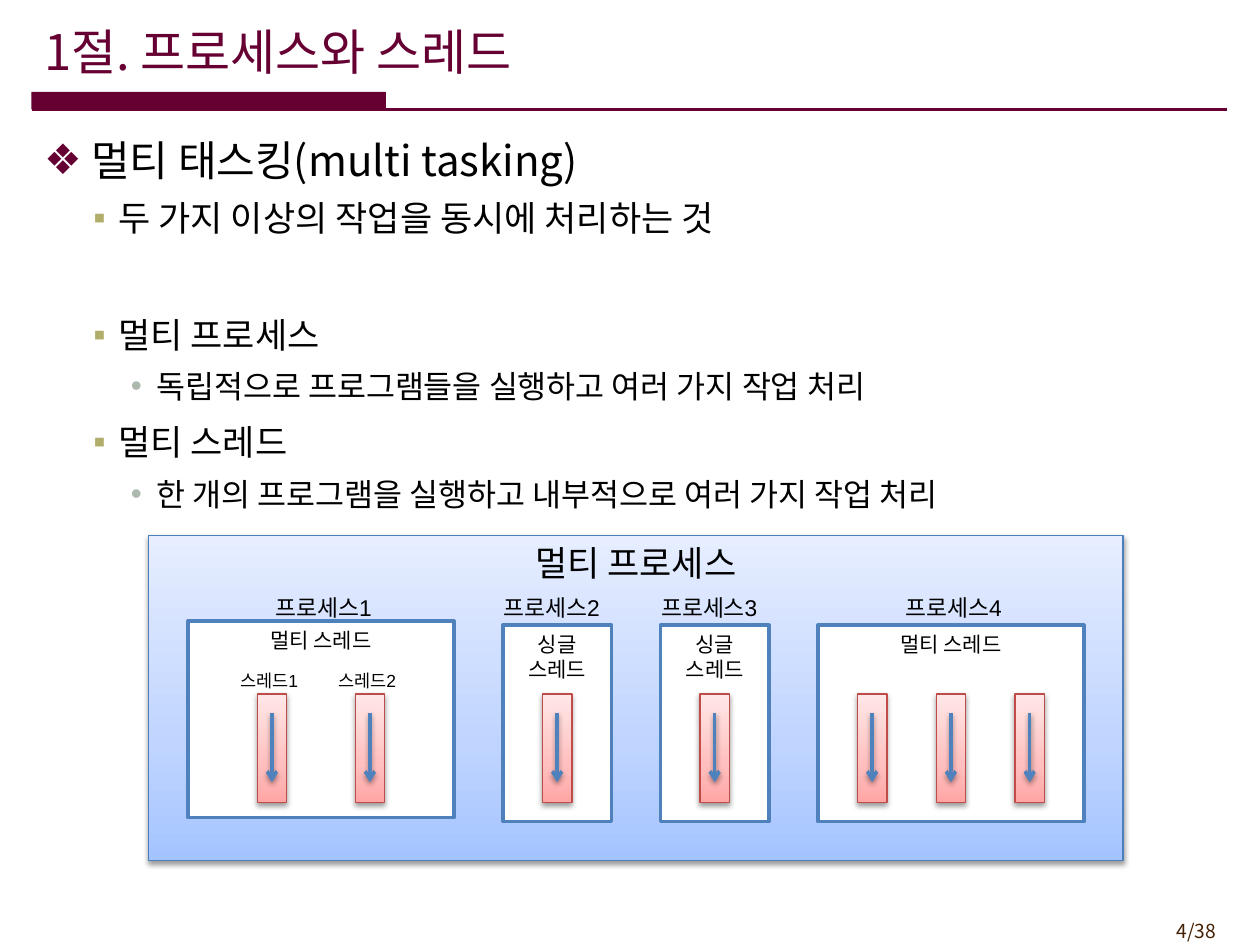
import pptx
import pptx.dml.color
import pptx.enum.shapes
import pptx.enum.text
import pptx.oxml.ns
import pptx.util
from lxml import etree

Pt = pptx.util.Pt
RGBColor = pptx.dml.color.RGBColor
PP_ALIGN = pptx.enum.text.PP_ALIGN
MSO_ANCHOR = pptx.enum.text.MSO_ANCHOR
MSO_AUTO_SIZE = pptx.enum.text.MSO_AUTO_SIZE
qn = pptx.oxml.ns.qn

KOREAN_FONT = "Noto Sans CJK KR"
LATIN_FONT = "Arial"

BLACK = RGBColor(0x00, 0x00, 0x00)
WHITE = RGBColor(0xFF, 0xFF, 0xFF)
WINE = RGBColor(0x66, 0x00, 0x33)
BROWN = RGBColor(0x45, 0x21, 0x03)
OLIVE = RGBColor(0xB1, 0xAE, 0x6B)
SAGE = RGBColor(0xAD, 0xB9, 0xAD)
BLUE = RGBColor(0x4F, 0x81, 0xBD)
PANEL_LINE = RGBColor(0x4B, 0x7E, 0xBC)
BAR_LINE = RGBColor(0xBF, 0x4C, 0x48)
PANEL_GRADIENT = (RGBColor(0xA4, 0xC4, 0xFF), RGBColor(0xBF, 0xD4, 0xFF), RGBColor(0xE6, 0xEE, 0xFF))
BAR_GRADIENT = (RGBColor(0xFF, 0xA6, 0xA5), RGBColor(0xFF, 0xC0, 0xBF), RGBColor(0xFF, 0xE7, 0xE7))

# Level: (left margin, indent, line spacing, space after, size, bullet, bullet colour)
LEVELS = (
    (27, -27, 1.0, 0, 24, "❖", WINE),
    (42.5, -14.4, 1.1, 3, 20, "▪", OLIVE),
    (64, -14.4, 1.0, 3, 18, "•", SAGE),
)
# Level, extra space above, text
OUTLINE = (
    (0, 0, "멀티 태스킹(multi tasking)"),
    (1, 0, "두 가지 이상의 작업을 동시에 처리하는 것"),
    (1, 33.4, "멀티 프로세스"),
    (2, 0, "독립적으로 프로그램들을 실행하고 여러 가지 작업 처리"),
    (1, 0, "멀티 스레드"),
    (2, 0, "한 개의 프로그램을 실행하고 내부적으로 여러 가지 작업 처리"),
)


def place(shape, box):
    shape.left, shape.top, shape.width, shape.height = (Pt(value) for value in box)


def write_text(paragraph, text, *, size, color=BLACK, font=KOREAN_FONT, align=PP_ALIGN.LEFT):
    paragraph.alignment = align
    run = paragraph.add_run()
    run.text = text
    run.font.size = Pt(size)
    run.font.color.rgb = color
    run.font.name = font
    etree.SubElement(run.font._element, qn("a:ea"), typeface=KOREAN_FONT)


def add_color(parent, color, alpha=None):
    element = etree.SubElement(parent, qn("a:srgbClr"), val=str(color))
    if alpha is not None:
        etree.SubElement(element, qn("a:alpha"), val=str(alpha * 1000))


def add_bullet(paragraph, character, color):
    properties = paragraph._p.get_or_add_pPr()
    add_color(etree.SubElement(properties, qn("a:buClr")), color)
    etree.SubElement(properties, qn("a:buFont"), typeface=LATIN_FONT)
    etree.SubElement(properties, qn("a:buChar"), char=character)


def add_drop_shadow(effects):
    shadow = etree.SubElement(
        effects, qn("a:outerShdw"), blurRad=str(Pt(3.1)), dist=str(Pt(1.6)),
        dir="5400000", rotWithShape="0")
    add_color(shadow, BLACK, alpha=38)


def fill_gradient(shape, colors):
    """Run three colours from the bottom edge to the top."""
    shape.fill.gradient()
    shape.fill.gradient_angle = 90
    stops = shape.element.spPr.find(".//" + qn("a:gsLst"))
    for stop in list(stops):
        stops.remove(stop)
    for position, color in zip((0, 35, 100), colors):
        add_color(etree.SubElement(stops, qn("a:gs"), pos=str(position * 1000)), color)


def add_rectangle(slide, box, *, fill=None, gradient=None, line=None, line_width=0.75):
    """Gradient rectangles are raised by a drop shadow; plain ones lie flat."""
    shape = slide.shapes.add_shape(
        pptx.enum.shapes.MSO_SHAPE.RECTANGLE, *(Pt(value) for value in box))
    shape.shadow.inherit = False
    if gradient:
        fill_gradient(shape, gradient)
        add_drop_shadow(shape.element.spPr.find(qn("a:effectLst")))
    else:
        shape.fill.solid()
        shape.fill.fore_color.rgb = fill
    if line is None:
        shape.line.fill.background()
    else:
        shape.line.color.rgb = line
        shape.line.width = Pt(line_width)
    shape.text_frame.vertical_anchor = MSO_ANCHOR.TOP
    return shape


def add_line(slide, start, end, color, width, arrow=False):
    connector = slide.shapes.add_connector(
        pptx.enum.shapes.MSO_CONNECTOR.STRAIGHT, *(Pt(value) for value in start + end))
    connector.line.color.rgb = color
    connector.line.width = Pt(width)
    effects = etree.SubElement(connector.element.spPr, qn("a:effectLst"))
    if arrow:
        etree.SubElement(connector.line._ln, qn("a:tailEnd"), type="arrow")
        add_drop_shadow(effects)


def add_label(slide, box, text, **text_format):
    label = slide.shapes.add_textbox(*(Pt(value) for value in box))
    label.text_frame.word_wrap = False
    label.text_frame.auto_size = MSO_AUTO_SIZE.SHAPE_TO_FIT_TEXT
    write_text(label.text_frame.paragraphs[0], text, **text_format)


def add_header(slide, box):
    left, top, width, height = box
    rule_top = top + height
    add_rectangle(slide, (left, rule_top - 10, 202.5, 10), fill=WINE)
    add_line(slide, (left, rule_top), (left + width, rule_top), WINE, 1.5)
    title = slide.shapes.title
    place(title, (left, top, 595.5, 45.4))
    title.text_frame.vertical_anchor = MSO_ANCHOR.MIDDLE
    title.text_frame.auto_size = MSO_AUTO_SIZE.NONE
    write_text(title.text_frame.paragraphs[0], "1절. 프로세스와 스레드", size=28, color=WINE)


def add_outline(slide, box):
    body = slide.placeholders[1]
    place(body, box)
    frame = body.text_frame
    frame.auto_size = MSO_AUTO_SIZE.NONE
    for index, (level, extra_space, text) in enumerate(OUTLINE):
        margin, indent, spacing, space_after, size, bullet, color = LEVELS[level]
        paragraph = frame.add_paragraph() if index else frame.paragraphs[0]
        paragraph.level = level
        paragraph.line_spacing = spacing
        paragraph.space_before = Pt(size * 0.2 + extra_space)
        paragraph.space_after = Pt(space_after)
        add_bullet(paragraph, bullet, color)
        properties = paragraph._p.get_or_add_pPr()
        properties.set("marL", str(Pt(margin)))
        properties.set("indent", str(Pt(indent)))
        write_text(paragraph, text, size=size)


def add_thread(slide, center, top, name=None):
    width, height = 16.8, 62
    add_rectangle(slide, (center - width / 2, top, width, height),
                  gradient=BAR_GRADIENT, line=BAR_LINE)
    add_line(slide, (center, top + 11), (center, top + 50.5), BLUE, 2, arrow=True)
    if name:
        add_label(slide, (center - 25.2, top - 17.3, 50.4, 19.4), name,
                  size=10, font=LATIN_FONT)


def add_process(slide, box, name, name_left, name_top, caption, thread_top, thread_names, pitch=0):
    left, _, width, _ = box
    frame = add_rectangle(slide, box, fill=WHITE, line=BLUE, line_width=2).text_frame
    for index, text in enumerate(caption):
        paragraph = frame.add_paragraph() if index else frame.paragraphs[0]
        write_text(paragraph, text, size=12, font=LATIN_FONT, align=PP_ALIGN.CENTER)
    add_label(slide, (name_left, name_top, 74.2, 23), name, size=13, font=LATIN_FONT)
    first_center = left + width / 2 - pitch * (len(thread_names) - 1) / 2
    for index, thread_name in enumerate(thread_names):
        add_thread(slide, first_center + index * pitch, thread_top, thread_name)


def add_process_panel(slide, box):
    left, top, _, _ = box
    panel = add_rectangle(slide, box, gradient=PANEL_GRADIENT, line=PANEL_LINE)
    write_text(panel.text_frame.paragraphs[0], "멀티 프로세스", size=20, align=PP_ALIGN.CENTER)
    multi, single = ("멀티 스레드",), ("싱글", "스레드")
    # Offsets from the panel: left, top, width, name left; then caption, threads, pitch
    processes = (
        (22.4, 48.9, 152, 65.5, multi, ("스레드1", "스레드2"), 56),
        (202.4, 51.2, 62, 195.8, single, (None,), 0),
        (292.4, 51.2, 62, 285.8, single, (None,), 0),
        (382.4, 51.2, 152, 425.5, multi, (None,) * 3, 45),
    )
    for number, (x, y, width, name_x, caption, threads, pitch) in enumerate(processes, 1):
        add_process(slide, (left + x, top + y, width, 112.4), f"프로세스{number}",
                    left + name_x, top + 29.5, caption, top + 90.5, threads, pitch)


def main():
    presentation = pptx.Presentation()
    presentation.slide_width, presentation.slide_height = Pt(720), Pt(540)
    slide = presentation.slides.add_slide(presentation.slide_layouts[1])
    add_header(slide, (18, 6.5, 683.3, 56))
    add_outline(slide, (18, 73.4, 684, 450))
    add_process_panel(slide, (85, 306, 556.8, 185.6))
    add_label(slide, (642.2, 522, 59.8, 20.9), "4/38", size=11, color=BROWN, align=PP_ALIGN.RIGHT)
    presentation.save("out.pptx")


if __name__ == "__main__":
    main()
